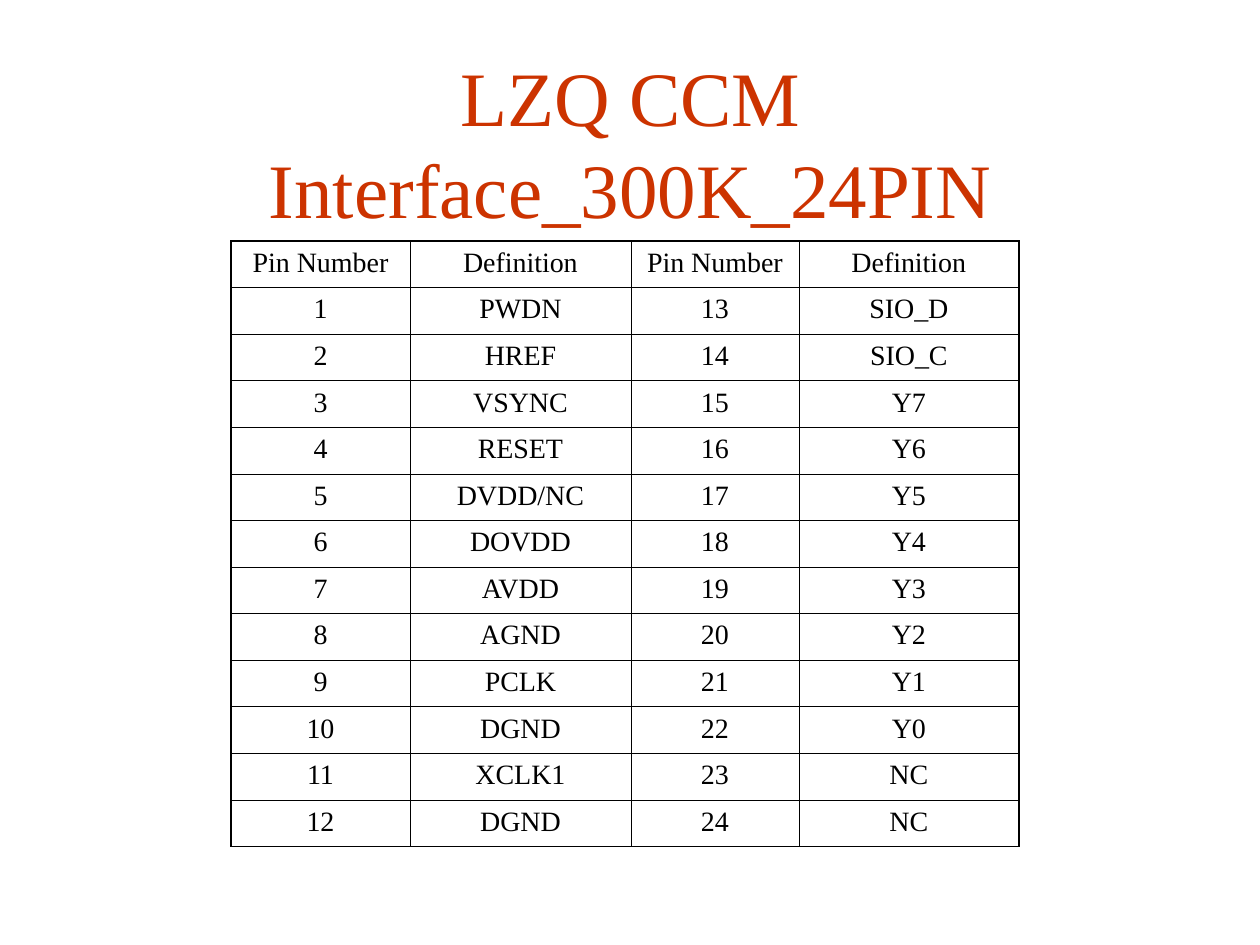
from lxml.etree import SubElement
from pptx import Presentation
from pptx.dml.color import RGBColor
from pptx.enum.text import MSO_ANCHOR, MSO_AUTO_SIZE, PP_ALIGN
from pptx.oxml.ns import qn
from pptx.util import Pt

PX = 914400 // 126
FONT = "Times New Roman"
RED = RGBColor(0xCC, 0x33, 0x00)
BLACK = RGBColor(0x00, 0x00, 0x00)
THIN, THICK = Pt(0.45), Pt(1.08)

TITLE = "LZQ CCM Interface_300K_24PIN"
HEADER = ["Pin Number", "Definition"]
SIGNALS = [
    "PWDN", "HREF", "VSYNC", "RESET", "DVDD/NC", "DOVDD",
    "AVDD", "AGND", "PCLK", "DGND", "XCLK1", "DGND",
    "SIO_D", "SIO_C", "Y7", "Y6", "Y5", "Y4",
    "Y3", "Y2", "Y1", "Y0", "NC", "NC",
]
COLUMN_WIDTHS = [179, 221, 168, 220]


def px(length):
    return length * PX


def format_paragraph(paragraph, size, color):
    paragraph.alignment = PP_ALIGN.CENTER
    for run in paragraph.runs:
        run.font.name = FONT
        run.font.size = Pt(size)
        run.font.color.rgb = color


def set_title(slide):
    title = slide.shapes.title
    title.left, title.top = px(95), px(63)
    title.width, title.height = px(1071), px(158)
    text_frame = title.text_frame
    text_frame.text = TITLE
    text_frame.word_wrap = True
    text_frame.auto_size = MSO_AUTO_SIZE.NONE
    text_frame.vertical_anchor = MSO_ANCHOR.MIDDLE
    paragraph = text_frame.paragraphs[0]
    paragraph.line_spacing = Pt(52.6)
    format_paragraph(paragraph, 44, RED)


def set_border(cell, side, width):
    line = SubElement(cell._tc.get_or_add_tcPr(), qn(f"a:ln{side}"), w=str(width))
    fill = SubElement(line, qn("a:solidFill"))
    SubElement(fill, qn("a:srgbClr"), val=str(BLACK))


def fill_cell(cell, text, outer_sides):
    cell.text_frame.text = text
    paragraph = cell.text_frame.paragraphs[0]
    paragraph.space_before = Pt(4)
    format_paragraph(paragraph, 16, BLACK)
    for side in "LRTB":
        set_border(cell, side, THICK if side in outer_sides else THIN)
    cell.fill.background()


def pin_rows():
    # The second half of the pins stands beside the first
    half = len(SIGNALS) // 2
    rows = [HEADER * 2]
    for index in range(half):
        rows.append([str(index + 1), SIGNALS[index],
                     str(index + half + 1), SIGNALS[index + half]])
    return rows


def add_pin_table(slide):
    rows = pin_rows()
    last_row, last_column = len(rows) - 1, len(COLUMN_WIDTHS) - 1
    height = px(606)
    table = slide.shapes.add_table(
        len(rows), len(COLUMN_WIDTHS), px(231), px(241),
        px(sum(COLUMN_WIDTHS)), height).table
    table.first_row = False
    table.horz_banding = False
    for column, width in zip(table.columns, COLUMN_WIDTHS):
        column.width = px(width)
    for row_index, texts in enumerate(rows):
        table.rows[row_index].height = height // len(rows)
        for column_index, text in enumerate(texts):
            edges = {"L": column_index == 0, "R": column_index == last_column,
                     "T": row_index == 0, "B": row_index == last_row}
            outer_sides = [side for side, is_outer in edges.items() if is_outer]
            fill_cell(table.cell(row_index, column_index), text, outer_sides)


def main():
    presentation = Presentation()
    presentation.slide_width = px(1260)
    presentation.slide_height = px(945)
    # Title-only layout
    slide = presentation.slides.add_slide(presentation.slide_layouts[5])
    set_title(slide)
    add_pin_table(slide)
    presentation.save("out.pptx")


if __name__ == "__main__":
    main()
